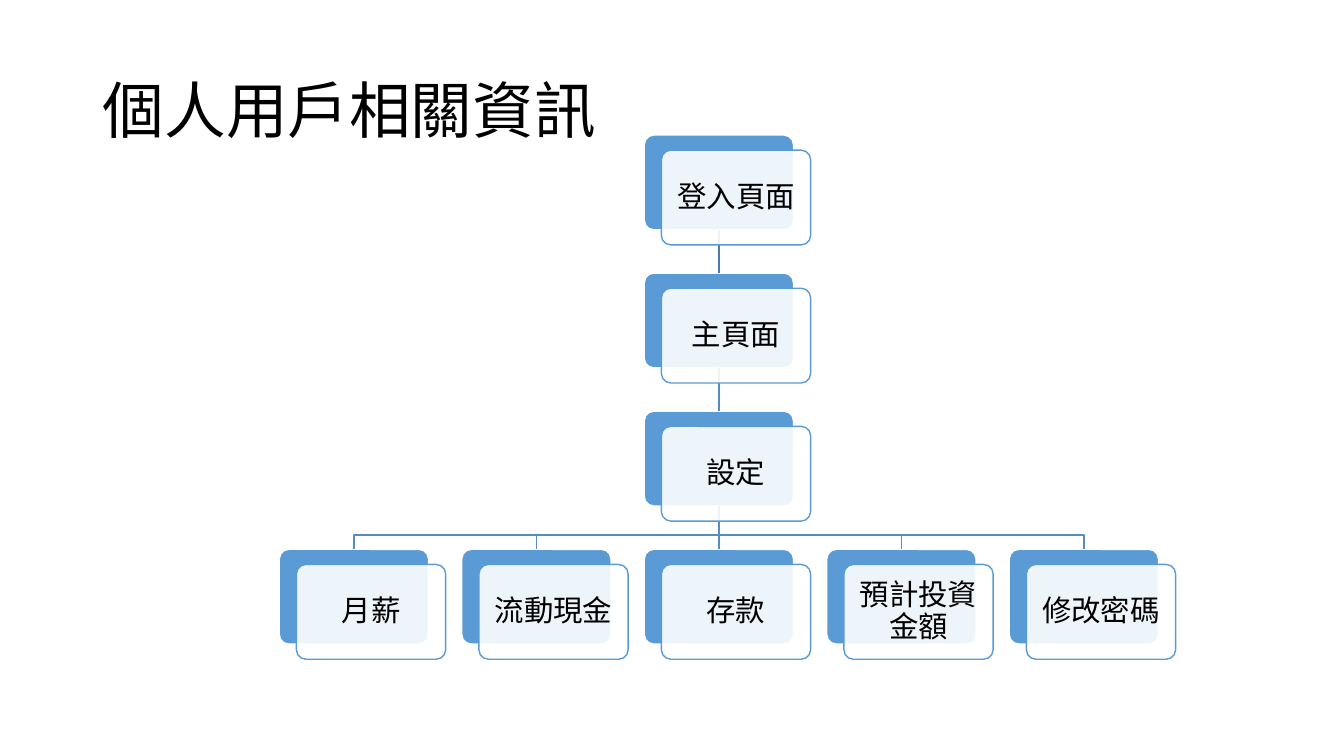
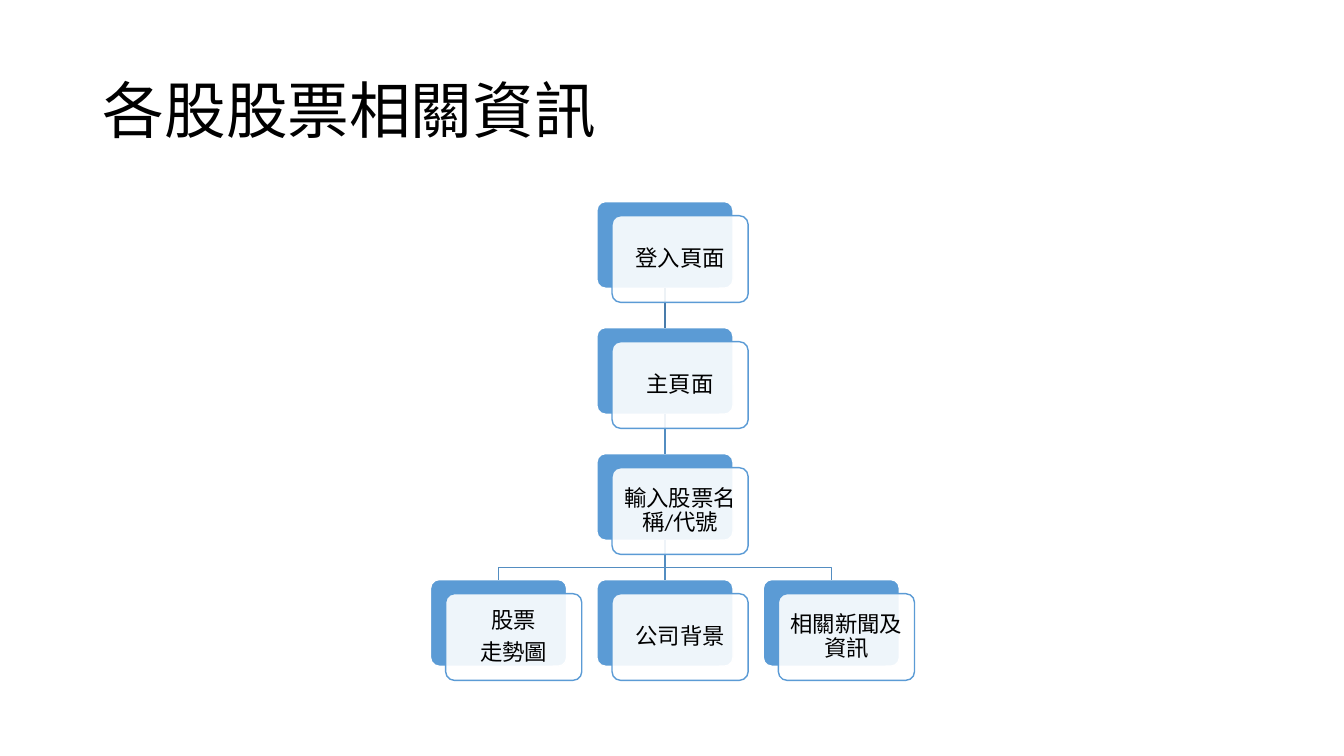
from dataclasses import dataclass

from lxml import etree
from pptx import Presentation
from pptx import util as u
from pptx.dml.color import RGBColor
from pptx.enum import shapes, text
from pptx.oxml.ns import qn

# Content: a chain of pages, then the leaves under the last page; lengths in px
SLIDES = [
    {
        "title": "個人用戶相關資訊",
        "chain": ["登入頁面", "主頁面", "設定"],
        "leaves": ["月薪", "流動現金", "存款", "預計投資金額", "修改密碼"],
        "origin": (639, 134), "card": (148, 94), "step": (181, 137),
        "offset": (17, 15), "drop": 29, "margin": 9, "text_size": 21,
    },
    {
        "title": "各股股票相關資訊",
        "chain": ["登入頁面", "主頁面", "輸入股票名稱/代號"],
        "leaves": ["股票\n走勢圖", "公司背景", "相關新聞及資訊"],
        "origin": (592, 200), "card": (135, 86), "step": (165, 125),
        "offset": (15, 14), "drop": 27, "margin": 7, "text_size": 16,
    },
]

PX = 9144  # EMU per px, 100 px to the inch
SLIDE_SIZE = (1333, 750)
TITLE_BOX = (92, 40, 1150, 145)
TITLE_ONLY = 5


@dataclass(frozen=True)
class Theme:
    font: str = "Calibri"
    ink: RGBColor = RGBColor(0x00, 0x00, 0x00)
    white: RGBColor = RGBColor(0xFF, 0xFF, 0xFF)
    accent: RGBColor = RGBColor(0x5B, 0x9B, 0xD5)
    first_link: RGBColor = RGBColor(0x49, 0x7C, 0xAB)
    link: RGBColor = RGBColor(0x53, 0x8D, 0xC1)
    title_size: int = 44
    line_width: int = 1
    line_spacing: float = 0.9
    space_after: float = 0.35
    corner: float = 0.1
    panel_alpha: int = 90


THEME = Theme()


def px(value):
    return u.Emu(round(value * PX))


def style_paragraph(paragraph, size, alignment):
    paragraph.alignment = alignment
    paragraph.line_spacing = THEME.line_spacing
    paragraph.font.name = THEME.font
    paragraph.font.size = u.Pt(size)
    paragraph.font.color.rgb = THEME.ink


def style_line(line, color):
    line.color.rgb = color
    line.width = u.Pt(THEME.line_width)


def set_title(slide, words):
    title = slide.shapes.title
    title.left, title.top, title.width, title.height = map(px, TITLE_BOX)
    frame = title.text_frame
    frame.text = words
    frame.auto_size = text.MSO_AUTO_SIZE.NONE
    frame.vertical_anchor = text.MSO_ANCHOR.MIDDLE
    style_paragraph(frame.paragraphs[0], THEME.title_size, text.PP_ALIGN.LEFT)


def add_box(slide, x, y, size, fill, outline):
    box = slide.shapes.add_shape(
        shapes.MSO_SHAPE.ROUNDED_RECTANGLE, *map(px, (x, y, *size)))
    box.adjustments[0] = THEME.corner
    box.shadow.inherit = False
    box.fill.solid()
    box.fill.fore_color.rgb = fill
    style_line(box.line, outline)
    return box


def add_panel(slide, x, y, words, chart):
    """Add the translucent front panel that carries the label."""
    panel = add_box(slide, x, y, chart["card"], THEME.white, THEME.accent)
    color = panel.element.spPr.find(qn("a:solidFill")).find(qn("a:srgbClr"))
    etree.SubElement(color, qn("a:alpha"), val=str(THEME.panel_alpha * 1000))
    frame = panel.text_frame
    frame.text = words
    frame.word_wrap = True
    frame.vertical_anchor = text.MSO_ANCHOR.MIDDLE
    frame.margin_left = frame.margin_right = px(chart["margin"])
    frame.margin_top = frame.margin_bottom = px(chart["margin"])
    for paragraph in frame.paragraphs:
        style_paragraph(paragraph, chart["text_size"], text.PP_ALIGN.CENTER)
        paragraph.space_after = u.Pt(chart["text_size"] * THEME.space_after)


def add_straight_link(slide, parent, child, color):
    link = slide.shapes.add_connector(shapes.MSO_CONNECTOR.STRAIGHT, 0, 0, 0, 0)
    link.begin_connect(parent, 2)
    link.end_connect(child, 0)
    style_line(link.line, color)
    etree.SubElement(link.element.spPr, qn("a:effectLst"))


def add_branch(slide, parent, child, drop):
    """Run down from the parent, across, and down to the child."""
    start_x = parent.left + parent.width // 2
    start_y = parent.top + parent.height
    end_x = child.left + child.width // 2
    bend_y = start_y + px(drop)
    builder = slide.shapes.build_freeform(start_x, start_y)
    builder.add_line_segments(
        [(start_x, bend_y), (end_x, bend_y), (end_x, child.top)], close=False)
    branch = builder.convert_to_shape()
    branch.shadow.inherit = False
    branch.fill.background()
    style_line(branch.line, THEME.link)


def add_hierarchy(slide, chart):
    left, top = chart["origin"]
    step_x, step_y = chart["step"]
    offset_x, offset_y = chart["offset"]
    chain, leaves = chart["chain"], chart["leaves"]
    depth = len(chain)

    # Chain runs down one column; leaves are centred under it
    places = [(left, top + row * step_y) for row in range(depth)]
    places += [(left + (column - (len(leaves) - 1) / 2) * step_x,
                top + depth * step_y) for column in range(len(leaves))]

    # Back cards
    cards = [add_box(slide, x, y, chart["card"], THEME.accent, THEME.white)
             for x, y in places]

    # Links, between the cards and the panels
    for index, child in enumerate(cards[1:], start=1):
        parent = cards[min(index, depth) - 1]
        if child.left == parent.left:
            color = THEME.first_link if index == 1 else THEME.link
            add_straight_link(slide, parent, child, color)
        else:
            add_branch(slide, parent, child, chart["drop"])

    # Front panels
    for (x, y), words in zip(places, chain + leaves):
        add_panel(slide, x + offset_x, y + offset_y, words, chart)


def main():
    presentation = Presentation()
    presentation.slide_width, presentation.slide_height = map(px, SLIDE_SIZE)
    for chart in SLIDES:
        slide = presentation.slides.add_slide(
            presentation.slide_layouts[TITLE_ONLY])
        set_title(slide, chart["title"])
        add_hierarchy(slide, chart)
    presentation.save("out.pptx")


if __name__ == "__main__":
    main()
